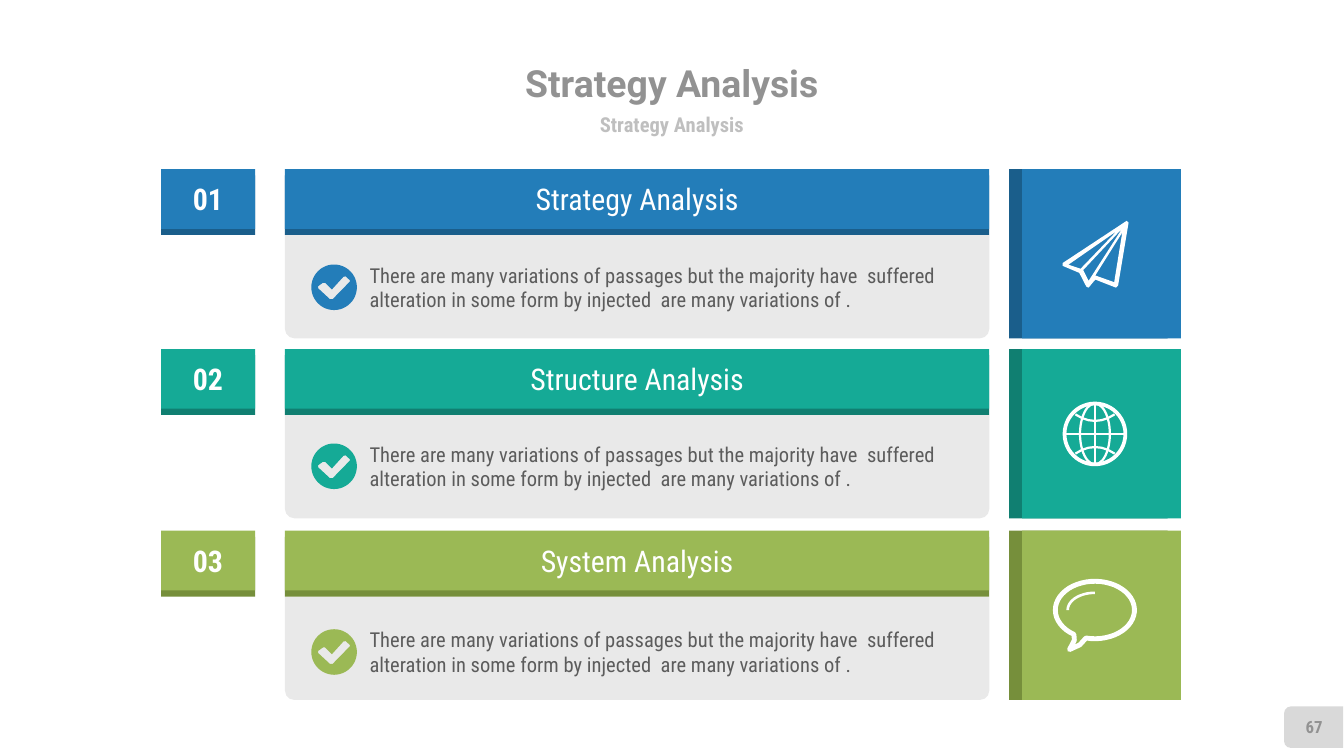
from math import cos, radians, sin

from lxml.etree import SubElement
from pptx import Presentation
from pptx.dml.color import RGBColor
from pptx.enum.shapes import MSO_CONNECTOR, MSO_SHAPE
from pptx.enum.text import MSO_ANCHOR, PP_ALIGN
from pptx.oxml.ns import qn
from pptx.util import Pt

COLORS = {
    "white": "FFFFFF",
    "panel": "E9E9E9",
    "tab": "D9D9D9",
    "title": "929292",
    "subtitle": "BFBFBF",
    "body": "5C5C5C",
    "blue": "237DB9",
    "blue_dark": "1A5E8B",
    "teal": "15AA96",
    "teal_dark": "107F71",
    "green": "9BB955",
    "green_dark": "768F3B",
}
BODY_TEXT = (
    "There are many variations of passages but the majority have  suffered "
    "alteration in some form by injected  are many variations of ."
)


def ellipse_points(center_x, center_y, radius_x, radius_y, start=0, end=360):
    angles = [radians(start + (end - start) * step / 48) for step in range(49)]
    return [(center_x + radius_x * cos(a), center_y + radius_y * sin(a)) for a in angles]


def draw_freeform(contours, color, line_width=None, close=True):
    builder = None
    for contour in contours:
        points = [(Pt(x), Pt(y)) for x, y in contour]
        if builder is None:
            builder = slide.shapes.build_freeform(*points[0], scale=1.0)
        else:
            builder.move_to(*points[0])
        builder.add_line_segments(points[1:], close=close)
    shape = builder.convert_to_shape()
    shape.shadow.inherit = False
    if line_width:
        shape.fill.background()
        shape.line.color.rgb = RGBColor.from_string(COLORS[color])
        shape.line.width = Pt(line_width)
    else:
        shape.fill.solid()
        shape.fill.fore_color.rgb = RGBColor.from_string(COLORS[color])
        shape.line.fill.background()


presentation = Presentation()
presentation.slide_width = Pt(720)
presentation.slide_height = Pt(405)
slide = presentation.slides.add_slide(presentation.slide_layouts[6])

page_tab = slide.shapes.add_shape(
    MSO_SHAPE.ROUND_2_SAME_RECTANGLE, Pt(692.6), Pt(373.7), Pt(22.3), Pt(31.7)
)
page_tab.rotation = 270
page_tab.shadow.inherit = False
page_tab.fill.solid()
page_tab.fill.fore_color.rgb = RGBColor.from_string(COLORS["tab"])
page_tab.line.fill.background()

labels = []
for text, left, top, width, height, size, font, color in [
    ("Strategy Analysis", 138, 30.4, 444, 28, 20, "Roboto", "title"),
    ("Strategy Analysis", 198, 58.4, 324, 16, 11, "Roboto Condensed", "subtitle"),
    ("67", 689, 378.8, 30, 21.6, 9, "Roboto Condensed", "title"),
]:
    box = slide.shapes.add_textbox(Pt(left), Pt(top), Pt(width), Pt(height))
    labels.append((box, text, size, font, color, True, PP_ALIGN.CENTER))

check_mark = [
    (8.4, -3), (8.4, -3.8), (6.2, -5.8), (5, -5.6), (-1.2, 1.2), (-4.8, -2.4),
    (-6, -2.4), (-8.5, -0.6), (-8.5, 0.6), (-2.2, 6.4), (-0.8, 6.4),
]
rows = [
    ("01", "Strategy Analysis", "blue", 90.6, 153.9),
    ("02", "Structure Analysis", "teal", 187, 249.8),
    ("03", "System Analysis", "green", 284.3, 349.3),
]
for number, heading, color, top, badge_y in rows:
    dark = color + "_dark"
    for left, offset, width, height, fill, text in [
        (152.7, 35.3, 377.3, 55.4, "panel", None),
        (152.7, 3.3, 377.3, 32, dark, None),
        (152.7, 0, 377.3, 32, color, heading),
        (86.3, 3.3, 50.4, 32, dark, None),
        (86.3, 0, 50.4, 32, color, number),
        (540.6, 0, 85, 90.7, dark, None),
        (547.6, 0, 85, 90.7, color, None),
    ]:
        is_panel = fill == "panel"
        shape = slide.shapes.add_shape(
            MSO_SHAPE.ROUND_2_SAME_RECTANGLE if is_panel else MSO_SHAPE.RECTANGLE,
            Pt(left), Pt(top + offset), Pt(width), Pt(height),
        )
        if is_panel:
            shape.adjustments[0] = 0
            shape.adjustments[1] = 0.09
        shape.shadow.inherit = False
        shape.fill.solid()
        shape.fill.fore_color.rgb = RGBColor.from_string(COLORS[fill])
        shape.line.fill.background()
        if text:
            labels.append(
                (shape, text, 16, "Roboto Condensed", "white", text == number, PP_ALIGN.CENTER)
            )
    draw_freeform(
        [
            ellipse_points(179, badge_y, 12.2, 12.2),
            [(179 + x, badge_y + y) for x, y in check_mark],
        ],
        color,
    )
    body = slide.shapes.add_textbox(Pt(198), Pt(badge_y - 13.3), Pt(324), Pt(26.6))
    labels.append((body, BODY_TEXT, 11, "Roboto Condensed", "body", False, PP_ALIGN.LEFT))

for shape, text, size, font, color, bold, alignment in labels:
    frame = shape.text_frame
    frame.text = text
    frame.word_wrap = True
    frame.vertical_anchor = MSO_ANCHOR.MIDDLE
    frame.margin_left = frame.margin_right = frame.margin_top = frame.margin_bottom = 0
    paragraph = frame.paragraphs[0]
    paragraph.alignment = alignment
    run = paragraph.runs[0]
    run.font.size = Pt(size)
    run.font.name = font
    run.font.bold = bold
    run.font.color.rgb = RGBColor.from_string(COLORS[color])

plane_outline = [
    (603.6, 118.3), (569.2, 141), (569.2, 142.4), (578.2, 146.2), (582, 153.6),
    (583.2, 154.1), (586.8, 149.8), (597.8, 154.1), (599, 153), (604.6, 119.3),
]
plane_folds = [
    [(572.4, 141.8), (598.3, 123.8), (578.9, 144)],
    [(580.3, 144.7), (601.2, 122.4), (583.2, 150.5)],
    [(596.9, 151.2), (586.8, 147.6), (601.2, 124.6)],
]
draw_freeform([plane_outline, *plane_folds], "white")

icon_x, globe_y, globe_radius = 586.6, 232.5, 16.3
for radius_x, line_width in [(globe_radius, 2), (8, 1.2)]:
    circle = slide.shapes.add_shape(
        MSO_SHAPE.OVAL, Pt(icon_x - radius_x), Pt(globe_y - globe_radius),
        Pt(2 * radius_x), Pt(2 * globe_radius),
    )
    circle.shadow.inherit = False
    circle.fill.background()
    circle.line.color.rgb = RGBColor.from_string(COLORS["white"])
    circle.line.width = Pt(line_width)
for reach_x, reach_y in [(globe_radius, 0), (0, globe_radius)]:
    axis = slide.shapes.add_connector(
        MSO_CONNECTOR.STRAIGHT, Pt(icon_x - reach_x), Pt(globe_y - reach_y),
        Pt(icon_x + reach_x), Pt(globe_y + reach_y),
    )
    axis.line.color.rgb = RGBColor.from_string(COLORS["white"])
    axis.line.width = Pt(1.2)
    SubElement(axis._element.spPr, qn("a:effectLst"))
for side in (-1, 1):
    latitude = [
        (icon_x + x, globe_y + side * (7 + 3.5 * (x / 10.5) ** 2))
        for x in (-10.5, -7, -3.5, 0, 3.5, 7, 10.5)
    ]
    draw_freeform([latitude], "white", 1.2, False)

bubble_y = 326.8
bubble_tail = [(578.5, 345.5), (573, 348), (575.6, 343)]
bubble = ellipse_points(icon_x, bubble_y, 21.2, 15.4, 122, 463) + bubble_tail
draw_freeform([bubble], "white", 2.6)
draw_freeform([ellipse_points(icon_x, bubble_y, 14.6, 9.2, 180, 270)], "white", 1.4, False)

presentation.save("out.pptx")
